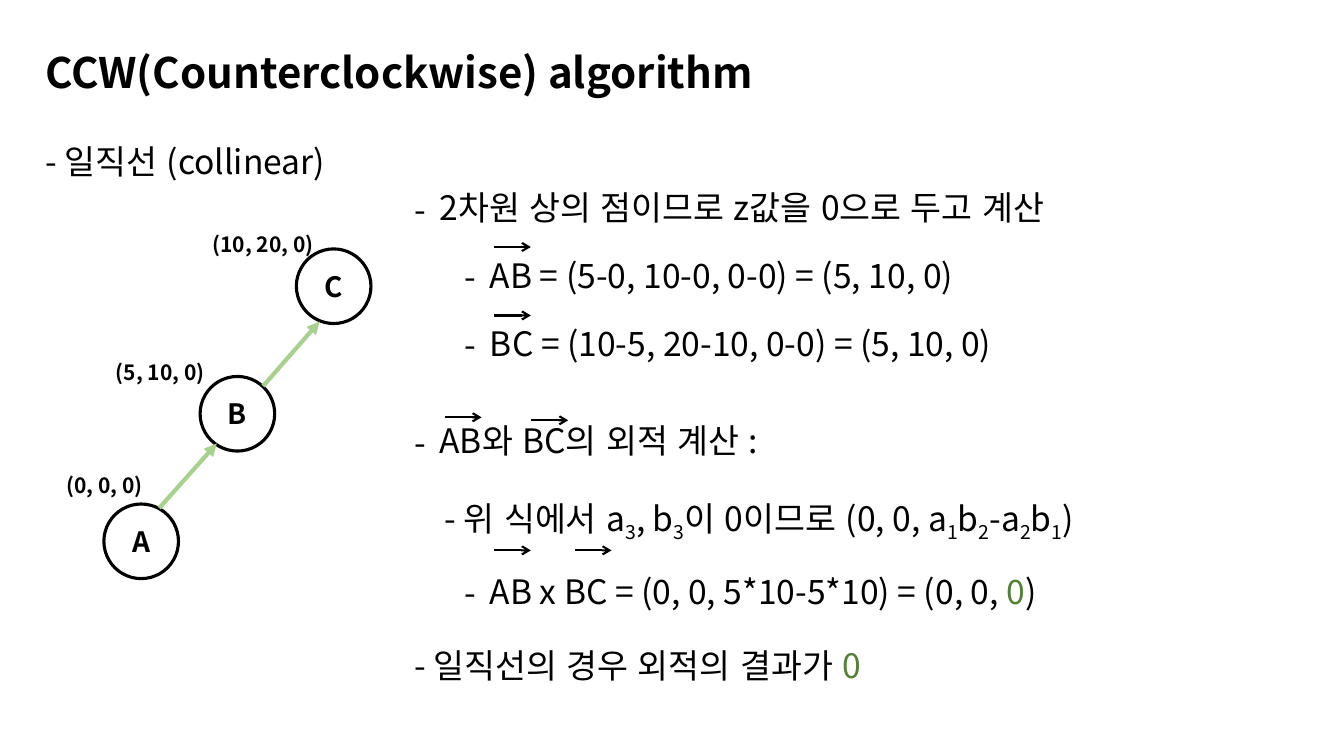
from dataclasses import dataclass
from typing import NamedTuple

from lxml.etree import SubElement
from pptx import Presentation
from pptx.dml.color import RGBColor
from pptx.enum.lang import MSO_LANGUAGE_ID
from pptx.enum.shapes import MSO_CONNECTOR, MSO_SHAPE
from pptx.enum.text import MSO_ANCHOR, MSO_AUTO_SIZE, PP_ALIGN
from pptx.oxml.ns import qn
from pptx.util import Inches, Pt

BLACK = RGBColor(0x00, 0x00, 0x00)
WHITE = RGBColor(0xFF, 0xFF, 0xFF)
LIGHT_GREEN = RGBColor(0xA9, 0xD1, 0x8E)
DARK_GREEN = RGBColor(0x54, 0x82, 0x35)
FONT = "Noto Sans CJK KR"
SLIDE_WIDTH = Inches(13.33)
SLIDE_HEIGHT = Inches(7.5)
MARGIN = 2.63
CONTENT_WIDTH = 94.58
NODE_WIDTH = 5.55
NODE_HEIGHT = 9.87
NODE_START = (7.73, 66.67)
NODE_STEP = (7.16, -16.87)
VECTOR_LENGTH = 2.75


class Piece(NamedTuple):
    text: str
    color: RGBColor = BLACK
    subscript: bool = False


@dataclass
class Line:
    pieces: list[Piece]
    before: float = 0
    spacing: float = 0.9
    indent: float = 0
    hanging: float = 0
    bullet: bool = False


class Node(NamedTuple):
    letter: str
    coordinates: str
    label_x: float
    label_y: float


class Arrow(NamedTuple):
    x1: float
    y1: float
    x2: float
    y2: float


def across(percent: float) -> int:
    return round(SLIDE_WIDTH * percent / 100)


def down(percent: float) -> int:
    return round(SLIDE_HEIGHT * percent / 100)


def frame(x: float, y: float, width: float, height: float) -> tuple[int, int, int, int]:
    return across(x), down(y), across(width), down(height)


def place(shape, x: float, y: float, width: float, height: float) -> None:
    shape.left, shape.top, shape.width, shape.height = frame(x, y, width, height)


def add_piece(paragraph, piece: Piece, size: float, bold: bool = False) -> None:
    run = paragraph.add_run()
    run.text = piece.text
    run.font.size = Pt(size)
    run.font.bold = bold
    run.font.color.rgb = piece.color
    run.font.name = FONT
    run.font.language_id = MSO_LANGUAGE_ID.KOREAN
    properties = run._r.get_or_add_rPr()
    SubElement(properties, qn("a:ea")).set("typeface", FONT)
    if piece.subscript:
        properties.set("baseline", "-25000")


def write_lines(text_frame, lines: list[Line], size: float, bold: bool = False) -> None:
    text_frame.word_wrap = True
    text_frame.auto_size = MSO_AUTO_SIZE.NONE
    for index, line in enumerate(lines):
        paragraph = text_frame.add_paragraph() if index else text_frame.paragraphs[0]
        properties = paragraph._p.get_or_add_pPr()
        properties.set("marL", str(Inches(line.indent)))
        properties.set("indent", str(-Inches(line.hanging)))
        if line.bullet:
            SubElement(properties, qn("a:buFont")).set("typeface", FONT)
            SubElement(properties, qn("a:buChar")).set("char", "-")
        else:
            SubElement(properties, qn("a:buNone"))
        paragraph.alignment = PP_ALIGN.LEFT
        paragraph.line_spacing = line.spacing
        paragraph.space_before = Pt(line.before)
        for piece in line.pieces:
            add_piece(paragraph, piece, size, bold)


def draw_arrow(slide, arrow: Arrow, color: RGBColor, width: float, head: str) -> None:
    connector = slide.shapes.add_connector(
        MSO_CONNECTOR.STRAIGHT,
        across(arrow.x1), down(arrow.y1), across(arrow.x2), down(arrow.y2),
    )
    connector.line.color.rgb = color
    connector.line.width = Pt(width)
    SubElement(connector.line._get_or_add_ln(), qn("a:tailEnd")).set("type", head)
    SubElement(connector._element.spPr, qn("a:effectLst"))


def draw_node(slide, node: Node, position: int) -> None:
    x, y = (start + step * position for start, step in zip(NODE_START, NODE_STEP))
    circle = slide.shapes.add_shape(MSO_SHAPE.OVAL, *frame(x, y, NODE_WIDTH, NODE_HEIGHT))
    circle.shadow.inherit = False
    circle.fill.solid()
    circle.fill.fore_color.rgb = WHITE
    circle.line.color.rgb = BLACK
    circle.line.width = Pt(2.25)
    circle.text_frame.vertical_anchor = MSO_ANCHOR.MIDDLE
    letter = circle.text_frame.paragraphs[0]
    letter.alignment = PP_ALIGN.CENTER
    add_piece(letter, Piece(node.letter), 20, True)


def draw_coordinates(slide, node: Node) -> None:
    label = slide.shapes.add_textbox(*frame(node.label_x, node.label_y, 9.83, 4.67))
    write_lines(label.text_frame, [Line([Piece(node.coordinates)], spacing=1)], 15, True)


def top_line(text: str, before: float = 0) -> Line:
    return Line([Piece(text)], before, 0.9, 0.25, 0.25, True)


def formula(*pieces: Piece) -> Line:
    return Line(list(pieces), 5, 1.5, 0.75, 0.25, True)


def indexed(*parts: str) -> list[Piece]:
    return [Piece(part, subscript=part.isdigit()) for part in parts]


NODES = [
    Node("A", "(0, 0, 0)", 4.2, 61.87),
    Node("B", "(5, 10, 0)", 7.88, 46.93),
    Node("C", "(10, 20, 0)", 15.08, 30),
]
EDGES = [Arrow(11.85, 67.2, 16.13, 58.67), Arrow(19.58, 51.07, 23.78, 42.53)]
VECTOR_STARTS = [
    (36.75, 32.67), (36.75, 41.73), (33.08, 55.2),
    (39.53, 55.6), (36.75, 72.8), (42.75, 72.8),
]
CALCULATION = [
    top_line("2차원 상의 점이므로 z값을 0으로 두고 계산"),
    formula(Piece("AB = (5-0, 10-0, 0-0) = (5, 10, 0)")),
    formula(Piece("BC = (10-5, 20-10, 0-0) = (5, 10, 0)")),
    top_line("AB와 BC의 외적 계산 :", 44),
    Line(
        indexed("- 위 식에서 a", "3", ", b", "3", "이 0이므로 (0, 0, a",
                "1", "b", "2", "-a", "2", "b", "1", ")"),
        10, 1.5, 0.3,
    ),
    formula(Piece("AB x BC = (0, 0, 5*10-5*10) = (0, 0, "), Piece("0", DARK_GREEN), Piece(")")),
    Line([Piece("- 일직선의 경우 외적의 결과가 "), Piece("0", DARK_GREEN)], 10, 1.5),
]


def main() -> None:
    presentation = Presentation()
    presentation.slide_width = SLIDE_WIDTH
    presentation.slide_height = SLIDE_HEIGHT
    slide = presentation.slides.add_slide(presentation.slide_layouts[3])
    title, case, calculation = slide.placeholders

    place(title, MARGIN, 4.67, CONTENT_WIDTH, 10.53)
    title.text_frame.vertical_anchor = MSO_ANCHOR.MIDDLE
    write_lines(title.text_frame, [Line([Piece("CCW(Counterclockwise) algorithm")])], 30, True)
    place(case, MARGIN, 18.53, CONTENT_WIDTH, 8.53)
    write_lines(case.text_frame, [Line([Piece("- 일직선 (collinear)")])], 24)
    place(calculation, 30.08, 24.67, 67.28, 70.67)
    write_lines(calculation.text_frame, CALCULATION, 24)

    for position, node in enumerate(NODES):
        draw_node(slide, node, position)
    for edge in EDGES:
        draw_arrow(slide, edge, LIGHT_GREEN, 3, "triangle")
    for x, y in VECTOR_STARTS:
        draw_arrow(slide, Arrow(x, y, x + VECTOR_LENGTH, y), BLACK, 1.5, "arrow")
    for node in NODES:
        draw_coordinates(slide, node)

    presentation.save("out.pptx")


if __name__ == "__main__":
    main()
